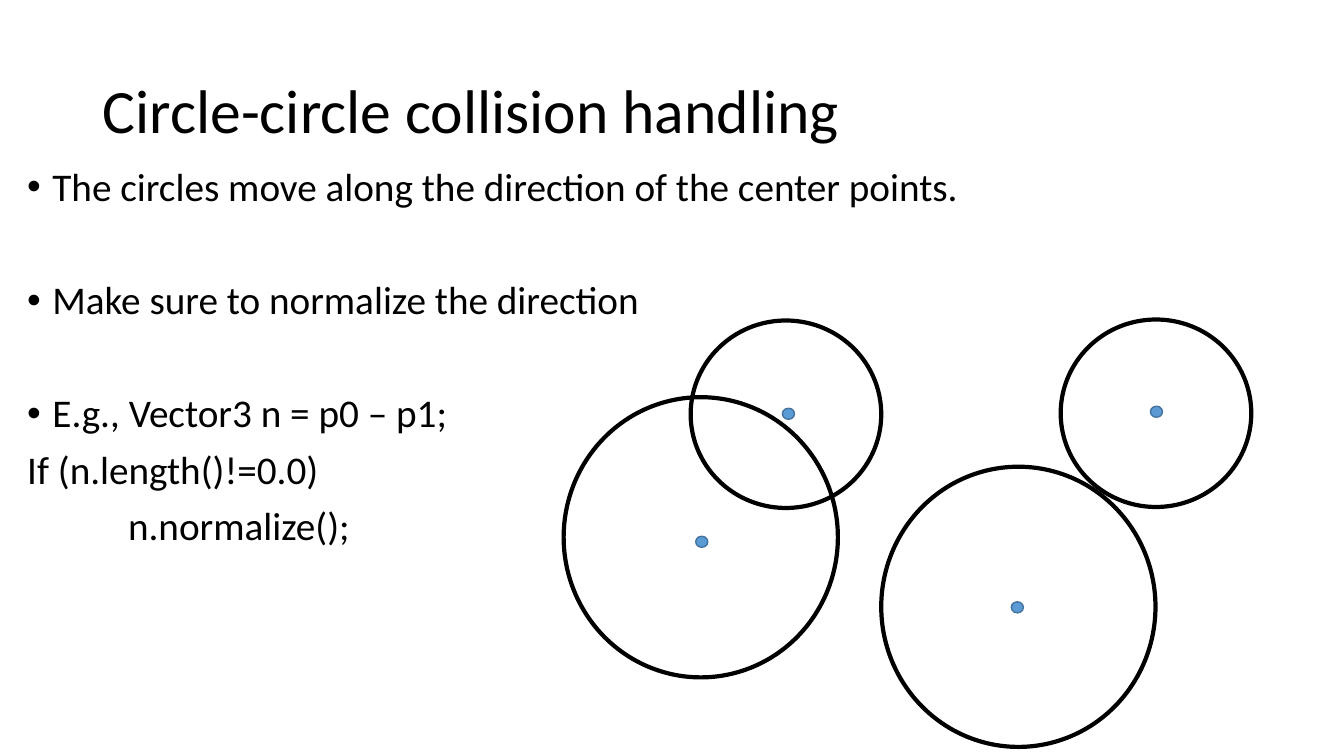
"""Build the slide on handling collisions between circles."""
from lxml.etree import SubElement as Sub
from pptx import Presentation
from pptx.dml.color import RGBColor
from pptx.enum.shapes import MSO_SHAPE as Shape
from pptx.enum.text import MSO_ANCHOR as Anchor, MSO_AUTO_SIZE as Auto, PP_ALIGN as Align
from pptx.oxml.ns import qn
from pptx.util import Inches, Pt

BLACK = RGBColor(0x00, 0x00, 0x00)
WHITE = RGBColor(0xFF, 0xFF, 0xFF)
BLUE = RGBColor(0x5B, 0x9B, 0xD5)
NAVY = RGBColor(0x43, 0x73, 0x9E)
FONT = "Calibri"

TITLE = "Circle-circle collision handling"
LINES = [
    ("The circles move along the direction of the center points.", dict(bullet=True)),
    ("Make sure to normalize the direction", dict(bullet=True, before=50.75)),
    ("E.g., Vector3 n = p0 – p1;", dict(bullet=True, before=50.75)),
    ("If (n.length()!=0.0)", {}),
    ("n.normalize();", dict(indent=1)),
]
SMALL, LARGE, DOT = (1.89, 1.86), (2.72, 2.78), (0.12, 0.11)
RINGS = [(6.85, 3.18, SMALL), (5.59, 3.94, LARGE), (10.52, 3.17, SMALL), (8.74, 4.63, LARGE)]
DOTS = [(7.76, 4.05), (6.9, 5.32), (10.03, 5.97), (11.41, 4.03)]


def write(para, text, size=28, before=10, indent=0, bullet=False):
    """Fill a paragraph with text in the given format."""
    para.alignment = Align.LEFT
    para.line_spacing = 0.9
    para.space_before = Pt(before)
    run = para.add_run()
    run.text = text
    run.font.name = FONT
    run.font.size = Pt(size)
    run.font.color.rgb = BLACK
    props = para._p.get_or_add_pPr()
    hang = 0.25 if bullet else 0
    props.set("marL", str(Inches(indent + hang)))
    props.set("indent", str(Inches(-hang)))
    if bullet:
        Sub(props, qn("a:buFont")).set("typeface", "Arial")
        Sub(props, qn("a:buChar")).set("char", "•")
    else:
        Sub(props, qn("a:buNone"))


def place(holder, box, anchor):
    """Move a placeholder and return its text frame."""
    holder.left, holder.top, holder.width, holder.height = map(Inches, box)
    frame = holder.text_frame
    frame.word_wrap = True
    frame.auto_size = Auto.NONE
    frame.vertical_anchor = anchor
    return frame


def oval(left, top, size, line, width, fill=None):
    """Draw an ellipse, hollow unless a fill is given."""
    shape = slide.shapes.add_shape(Shape.OVAL, *map(Inches, (left, top, *size)))
    shape.shadow.inherit = False
    shape.line.color.rgb = line
    shape.line.width = Pt(width)
    if fill is None:
        shape.fill.background()
    else:
        shape.fill.solid()
        shape.fill.fore_color.rgb = fill


deck = Presentation()
deck.slide_width, deck.slide_height = Inches(13.33), Inches(7.5)
slide = deck.slides.add_slide(deck.slide_layouts[1])
slide.background.fill.solid()
slide.background.fill.fore_color.rgb = WHITE

head = place(slide.shapes.title, (0.92, 0.4, 11.5, 1.45), Anchor.MIDDLE)
write(head.paragraphs[0], TITLE, size=44, before=0)

body = place(slide.placeholders[1], (0.17, 1.61, 11.5, 4.76), Anchor.TOP)
for i, (text, form) in enumerate(LINES):
    write(body.add_paragraph() if i else body.paragraphs[0], text, **form)

for left, top, size in RINGS:
    oval(left, top, size, BLACK, 3)
for left, top in DOTS:
    oval(left, top, DOT, NAVY, 1, BLUE)

deck.save("out.pptx")
